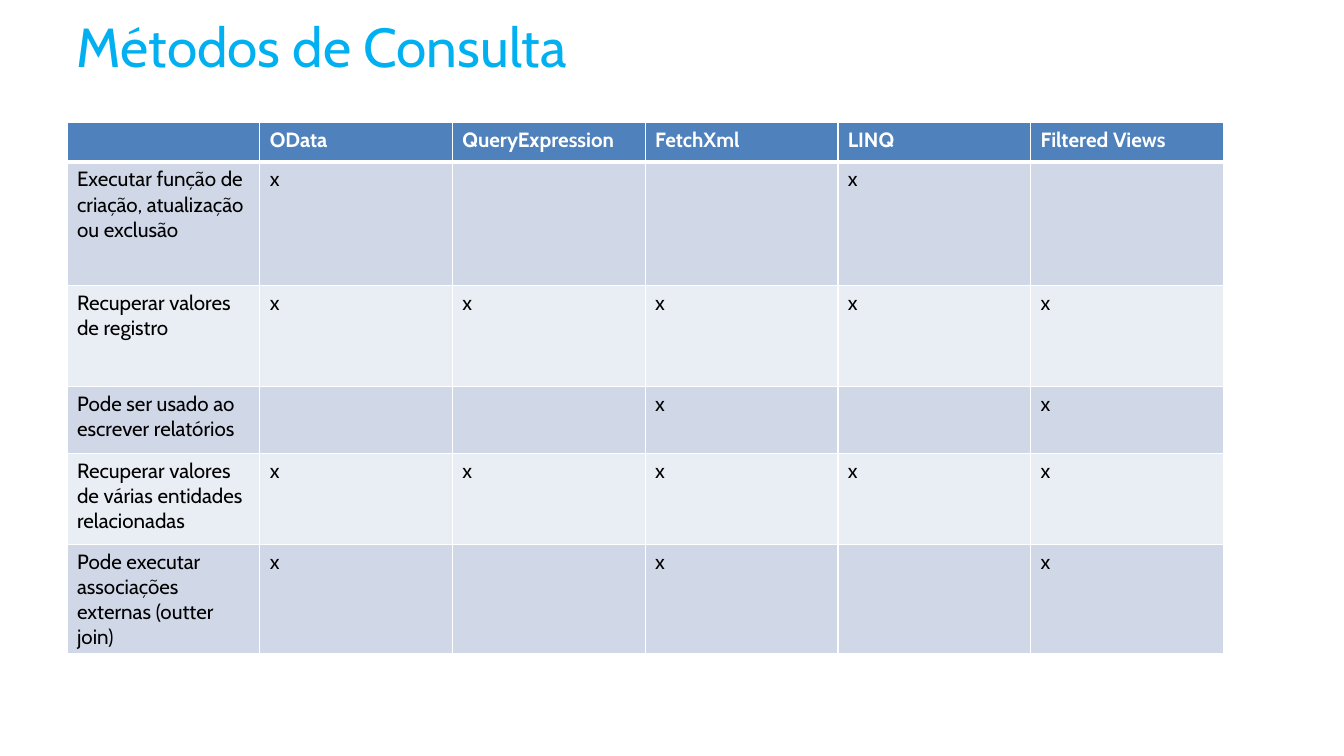
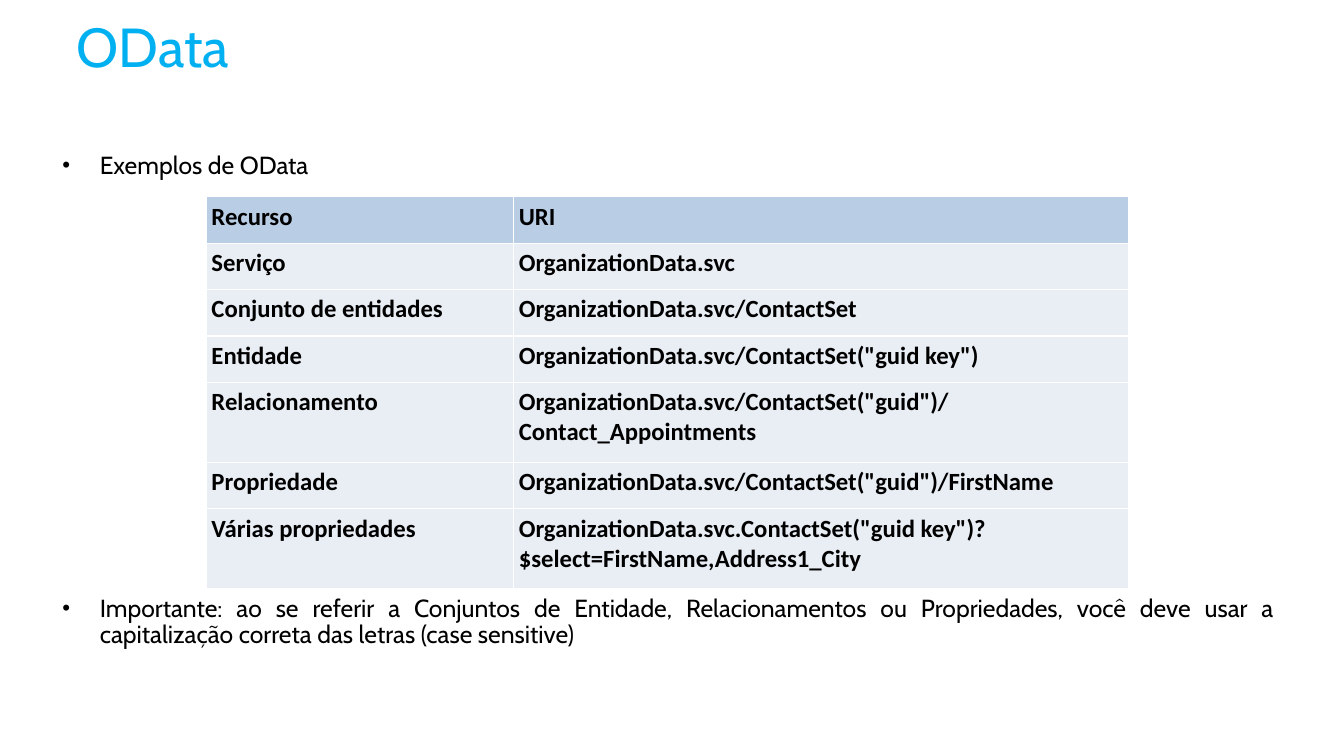
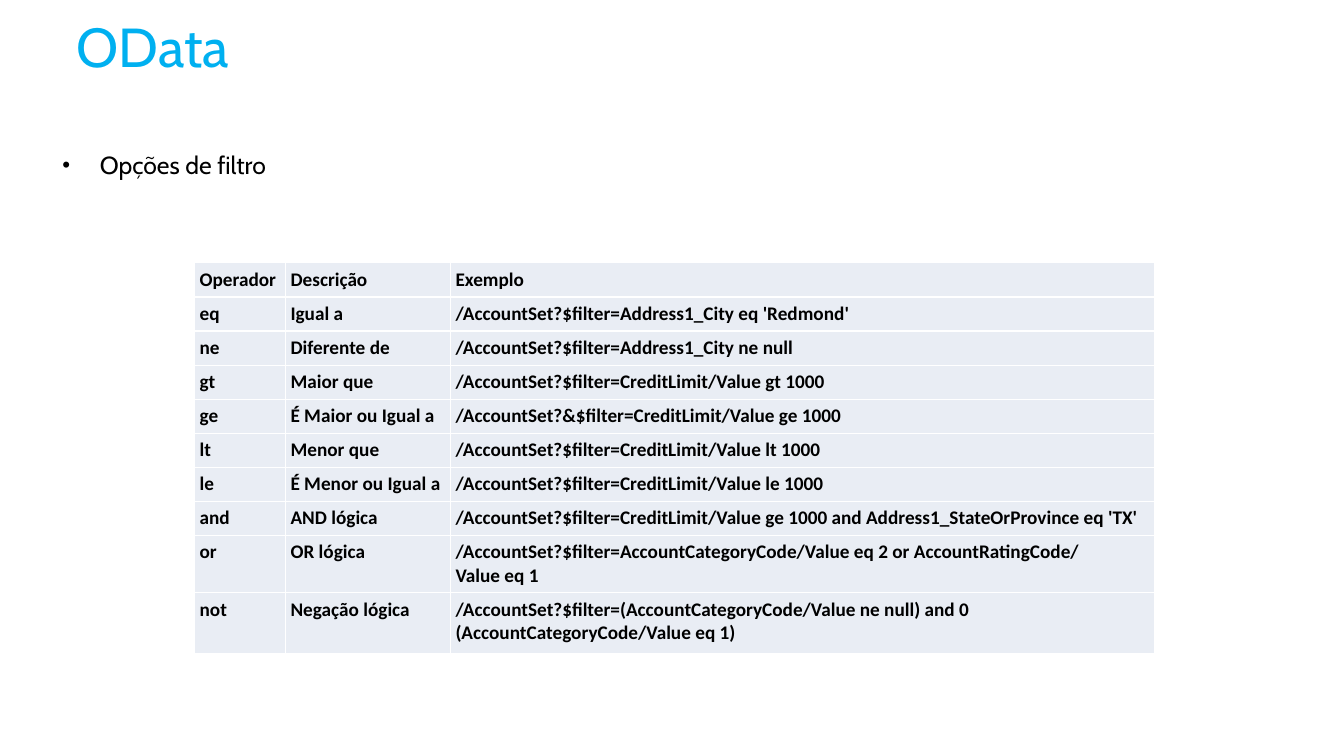
from copy import deepcopy
from dataclasses import dataclass

from lxml.etree import SubElement as Sub
from pptx import Presentation
from pptx.dml.color import RGBColor as Rgb
from pptx.enum.text import MSO_ANCHOR as Anchor, PP_ALIGN as Align
from pptx.oxml import parse_xml
from pptx.oxml.ns import nsdecls, qn
from pptx.slide import Slide
from pptx.util import Inches, Pt

# Shared look
HUES = {
    "title": "00B0F0", "text": "000000", "white": "FFFFFF",
    "head": "4F81BD", "soft": "B9CDE5", "dark": "D0D8E8", "light": "E9EDF4",
}
BODY = "Cabin"
CODE = "Calibri"


@dataclass
class Style:
    font: str
    size: int
    hue: str = "text"
    bold: bool = False


@dataclass
class Grid:
    left: float
    top: float
    cols: list[float]
    rows: list[float]
    fills: list[str]
    cells: list[list[str]]
    style: Style
    head: Style | None = None
    inset: float | None = None
    gap: int = 0


def paint(par, style: Style) -> None:
    """Format the runs and line breaks of a paragraph."""
    for run in par.runs:
        run.font.name = style.font
        run.font.size = Pt(style.size)
        run.font.bold = style.bold
        run.font.color.rgb = Rgb.from_string(HUES[style.hue])
    for mark in par._p.findall(qn("a:br")):
        mark.append(deepcopy(par.runs[0]._r.rPr))


def edge(cell, side: str, width: float) -> None:
    line = parse_xml(
        f'<a:ln{side} {nsdecls("a")} w="{Pt(width)}"><a:solidFill>'
        f'<a:srgbClr val="{HUES["white"]}"/></a:solidFill></a:ln{side}>')
    cell._tc.get_or_add_tcPr().insert("LRTB".index(side), line)


def add_title(slide: Slide, text: str) -> None:
    box = slide.shapes.add_textbox(Inches(0.68), 0, Inches(12.24), Inches(0.92))
    frame = box.text_frame
    frame.word_wrap = True
    frame.vertical_anchor = Anchor.MIDDLE
    frame.text = text
    paint(frame.paragraphs[0], Style(BODY, 40, "title"))


def add_list(slide: Slide, height: float, items: list[tuple[str, float]]) -> None:
    """Bulleted text; each item has its own space before, in points."""
    box = slide.shapes.add_textbox(
        Inches(0.47), Inches(1.45), Inches(12.58), Inches(height))
    frame = box.text_frame
    frame.word_wrap = True
    frame.margin_left = frame.margin_right = Inches(0.16)
    frame.margin_top = frame.margin_bottom = Inches(0.1)
    frame.text = "\n".join(text for text, _ in items)
    for par, (_, space) in zip(frame.paragraphs, items):
        paint(par, Style(BODY, 18))
        par.alignment = Align.JUSTIFY
        par.line_spacing = 0.9
        par.space_before = Pt(space)
        props = par._p.get_or_add_pPr()
        props.set("marL", str(Inches(0.38)))
        props.set("indent", str(-Inches(0.38)))
        Sub(props, qn("a:buSzPct"), val="90000")
        Sub(props, qn("a:buFont"), typeface="Arial")
        Sub(props, qn("a:buChar"), char="•")


def add_grid(slide: Slide, grid: Grid) -> None:
    table = slide.shapes.add_table(
        len(grid.rows), len(grid.cols), Inches(grid.left), Inches(grid.top),
        Inches(sum(grid.cols)), Inches(sum(grid.rows))).table
    table.first_row = grid.head is not None
    table.horz_banding = False
    for col, width in zip(table.columns, grid.cols):
        col.width = Inches(width)
    for y, (row, texts) in enumerate(zip(table.rows, grid.cells)):
        row.height = Inches(grid.rows[y])
        style = grid.head if grid.head and y == 0 else grid.style
        for cell, text in zip(row.cells, texts):
            cell.fill.solid()
            cell.fill.fore_color.rgb = Rgb.from_string(HUES[grid.fills[y]])
            # A heavier rule runs below a head row
            for side in "LRTB":
                thick = grid.head and (y, side) in ((0, "B"), (1, "T"))
                edge(cell, side, 3 if thick else 1)
            if grid.inset is not None:
                cell.margin_left = cell.margin_right = Inches(grid.inset)
                cell.margin_top = cell.margin_bottom = Inches(grid.inset)
            if text:
                par = cell.text_frame.paragraphs[0]
                par.text = text
                if grid.gap:
                    par.space_before = par.space_after = Pt(grid.gap)
                paint(par, style)


def marks(label: str, flags: str) -> list[str]:
    """A row with an x for each supported method."""
    return [label] + ["x" if flag == "x" else "" for flag in flags]


# Slide contents
WIDE = [1.95] * 6
PLAIN = Style(BODY, 15)

BASIC = Grid(
    0.68, 1.24, WIDE, [0.4, 1.25, 1.02], ["head", "dark", "light"],
    [["", "OData", "QueryExpression", "FetchXml", "LINQ", "Filtered Views"],
     marks("Executar função de criação, atualização ou exclusão", "x--x-"),
     marks("Recuperar valores de registro", "xxxxx")],
    PLAIN, Style(BODY, 15, "white", True))

EXTRA = Grid(
    0.68, 3.91, WIDE, [0.68, 0.92, 1.1], ["dark", "light", "dark"],
    [marks("Pode ser usado ao escrever relatórios", "--x-x"),
     marks("Recuperar valores de várias entidades relacionadas", "xxxxx"),
     marks("Pode executar associações externas (outter join)", "x-x-x")],
    PLAIN)

LINKS = Grid(
    2.09, 1.99, [3.11, 6.22], [0.47] * 4 + [0.81, 0.47, 0.81],
    ["soft"] + ["light"] * 6,
    [["Recurso", "URI"],
     ["Serviço", "OrganizationData.svc"],
     ["Conjunto de entidades", "OrganizationData.svc/ContactSet"],
     ["Entidade", 'OrganizationData.svc/ContactSet("guid key")'],
     ["Relacionamento",
      'OrganizationData.svc/ContactSet("guid")/Contact_Appointments'],
     ["Propriedade", 'OrganizationData.svc/ContactSet("guid")/FirstName'],
     ["Várias propriedades",
      'OrganizationData.svc.ContactSet("guid key")'
      "?$select=FirstName,Address1_City"]],
    Style(CODE, 18, bold=True), inset=0.05, gap=3)

FILTERS = Grid(
    1.97, 2.66, [0.92, 1.67, 7.12], [2.76 / 8] * 8 + [0.58, 0.61],
    ["light"] * 10,
    [["Operador", "Descrição", "Exemplo"],
     ["eq", "Igual a", "/AccountSet?$filter=Address1_City eq 'Redmond'"],
     ["ne", "Diferente de", "/AccountSet?$filter=Address1_City ne null"],
     ["gt", "Maior que", "/AccountSet?$filter=CreditLimit/Value gt 1000"],
     ["ge", "É Maior ou Igual a",
      "/AccountSet?&$filter=CreditLimit/Value ge 1000"],
     ["lt", "Menor que", "/AccountSet?$filter=CreditLimit/Value lt 1000"],
     ["le", "É Menor ou Igual a",
      "/AccountSet?$filter=CreditLimit/Value le 1000"],
     ["and", "AND lógica",
      "/AccountSet?$filter=CreditLimit/Value ge 1000"
      " and Address1_StateOrProvince eq 'TX'"],
     ["or", "OR lógica",
      "/AccountSet?$filter=AccountCategoryCode/Value eq 2"
      " or AccountRatingCode/\nValue eq 1"],
     ["not", "Negação lógica",
      "/AccountSet?$filter=(AccountCategoryCode/Value ne null)"
      " and 0 (AccountCategoryCode/Value eq 1)"]],
    Style(CODE, 14, bold=True), inset=0.05, gap=3)

NOTE = ("Importante: ao se referir a Conjuntos de Entidade, Relacionamentos ou "
        "Propriedades, você deve usar a capitalização correta das letras "
        "(case sensitive)")


def main() -> None:
    deck = Presentation()
    deck.slide_width = Inches(13.6)
    deck.slide_height = Inches(7.65)

    def start(title: str) -> Slide:
        slide = deck.slides.add_slide(deck.slide_layouts[6])
        add_title(slide, title)
        return slide

    # Query methods
    slide = start("Métodos de Consulta")
    add_grid(slide, BASIC)
    add_grid(slide, EXTRA)

    # Resource addresses, with the note below the table
    slide = start("OData")
    add_list(slide, 5.41, [("Exemplos de OData", 3.6), (NOTE, 303)])
    add_grid(slide, LINKS)

    # Filter options
    slide = start("OData")
    add_list(slide, 0.47, [("Opções de filtro", 3.6)])
    add_grid(slide, FILTERS)

    deck.save("out.pptx")


if __name__ == "__main__":
    main()
